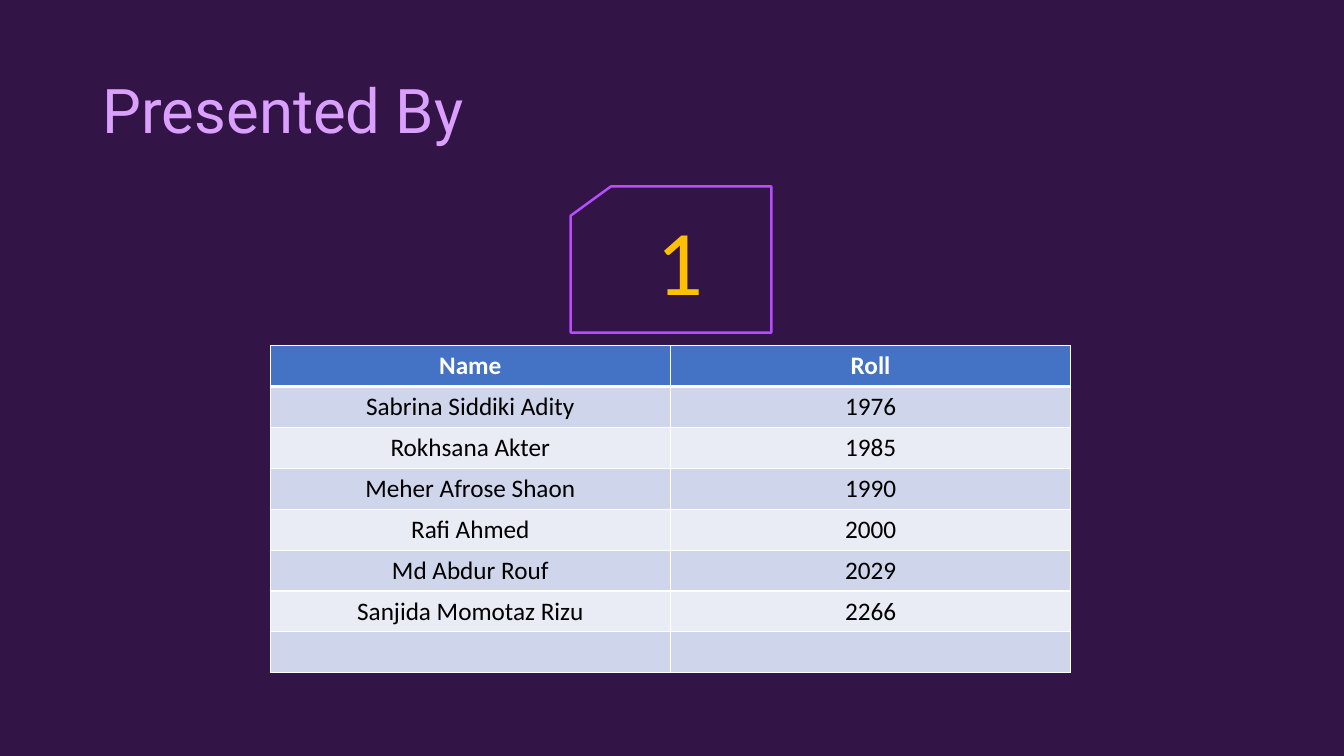
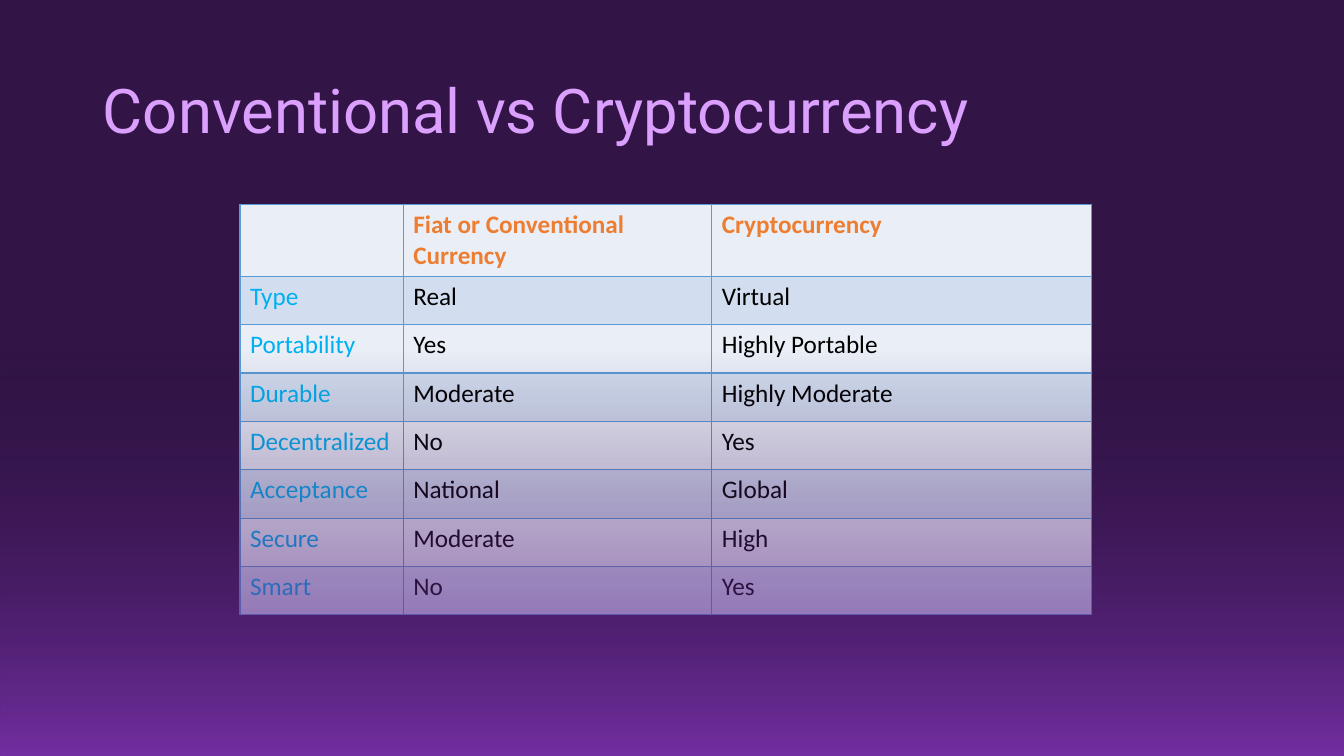
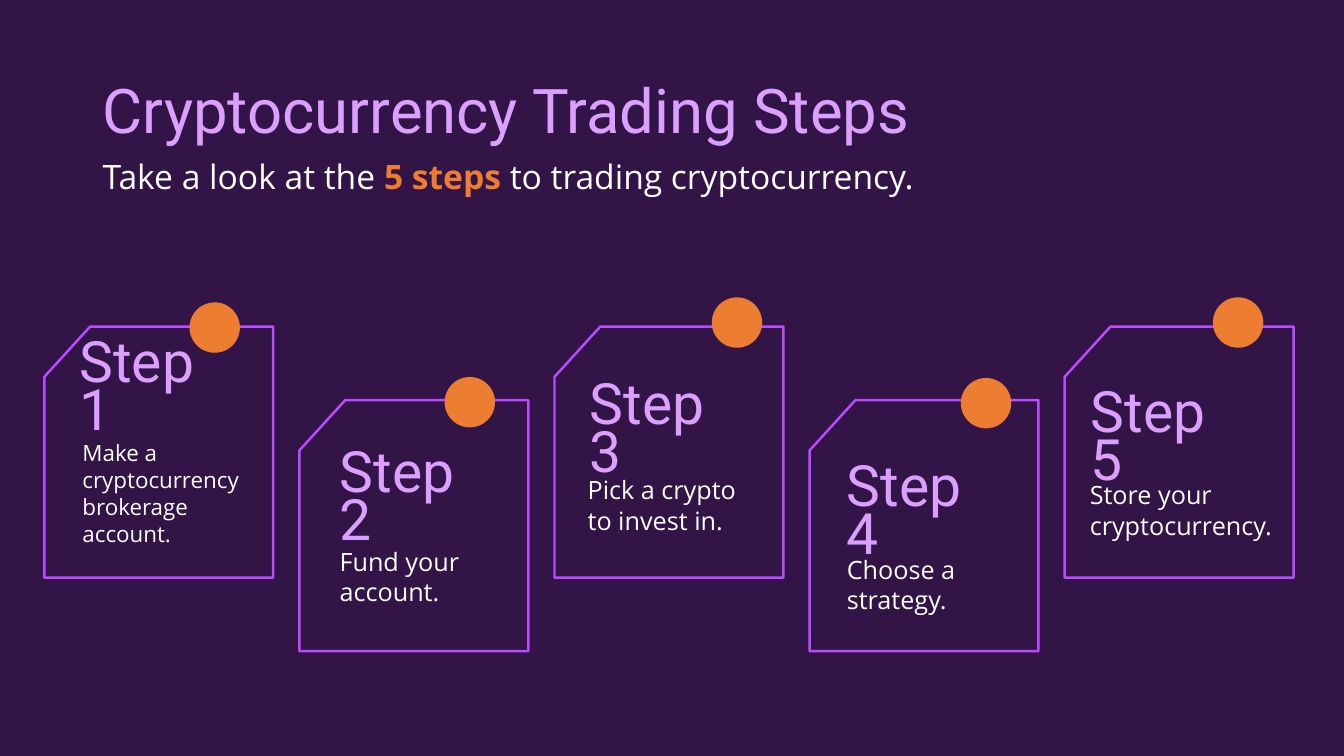
import pptx
import pptx.util
import pptx.dml.color
import pptx.enum.shapes
import pptx.enum.text
import pptx.oxml
from pptx.oxml.ns import qn, nsdecls

Inches = pptx.util.Inches
Pt = pptx.util.Pt
RGBColor = pptx.dml.color.RGBColor
MSO_SHAPE = pptx.enum.shapes.MSO_SHAPE
PP_ALIGN = pptx.enum.text.PP_ALIGN
MSO_ANCHOR = pptx.enum.text.MSO_ANCHOR

BACKGROUND = RGBColor(0x32, 0x14, 0x47)
LILAC = RGBColor(0xDB, 0xA0, 0xFD)
VIOLET = RGBColor(0xB8, 0x4C, 0xFF)
GLOW = RGBColor(0x8C, 0x39, 0xC6)
ORANGE = RGBColor(0xED, 0x7D, 0x31)
GOLD = RGBColor(0xFF, 0xC0, 0x00)
SKY = RGBColor(0x00, 0xB0, 0xF0)
WHITE = RGBColor(0xFF, 0xFF, 0xFF)
BLACK = RGBColor(0x00, 0x00, 0x00)
BLUE = RGBColor(0x44, 0x72, 0xC4)
BLUE_LINE = RGBColor(0x5B, 0x9B, 0xD5)
MEMBER_BANDS = (RGBColor(0xCF, 0xD5, 0xEA), RGBColor(0xE9, 0xEB, 0xF5))
COMPARISON_BANDS = (RGBColor(0xD2, 0xDE, 0xEF), RGBColor(0xEA, 0xEF, 0xF7))

HEADING_FONT = "Roboto"
BODY_FONT = "Open Sans"
TABLE_FONT = "Calibri"

MEMBERS = [
    ("Name", "Roll"),
    ("Sabrina Siddiki Adity", "1976"),
    ("Rokhsana Akter", "1985"),
    ("Meher Afrose Shaon", "1990"),
    ("Rafi Ahmed", "2000"),
    ("Md Abdur Rouf", "2029"),
    ("Sanjida Momotaz Rizu", "2266"),
    ("", ""),
]

COMPARISON = [
    ("", "Fiat or Conventional Currency", "Cryptocurrency"),
    ("Type", "Real", "Virtual"),
    ("Portability", "Yes", "Highly Portable"),
    ("Durable", "Moderate", "Highly Moderate"),
    ("Decentralized", "No", "Yes"),
    ("Acceptance", "National", "Global"),
    ("Secure", "Moderate", "High"),
    ("Smart", "No", "Yes"),
]

SUBTITLE = [
    ("Take a look at the ", WHITE, False),
    ("5 steps ", ORANGE, True),
    ("to trading cryptocurrency.", WHITE, False),
]

# text, text size, text box (left, top, width, height), heading and dot (left, top)
STEPS = [
    ("Make a cryptocurrency brokerage account.", 16,
     (0.72, 4.31, 1.9, 1.72), (0.69, 3.56), (1.88, 3)),
    ("Fund your account.", 18,
     (3.27, 5.37, 1.67, 0.71), (3.27, 4.65), (4.41, 3.74)),
    ("Pick a crypto to invest in.", 18,
     (5.73, 4.66, 1.97, 0.71), (5.75, 3.98), (7.06, 2.95)),
    ("Choose a strategy.", 18,
     (8.3, 5.45, 1.61, 0.71), (8.3, 4.79), (9.53, 3.75)),
    ("Store your cryptocurrency.", 18,
     (10.71, 4.71, 2.09, 0.71), (10.72, 4.06), (12.03, 2.95)),
]
CARD_LEFT, CARD_PITCH = 0.44, 2.53
CARD_TOPS = (3.24, 3.97)
CARD_SIZE = (2.27, 2.49)
STEP_HEADING_SIZE = (1.43, 0.66)
DOT_SIZE = (0.5, 0.5)


def format_runs(paragraph, font_name, size, color, bold=False):
    for run in paragraph.runs:
        run.font.name = font_name
        run.font.size = Pt(size)
        run.font.color.rgb = color
        run.font.bold = bold


def add_titled_slide(presentation, title):
    slide = presentation.slides.add_slide(presentation.slide_layouts[5])
    shape = slide.shapes.title
    shape.left, shape.top = Inches(0.92), Inches(0.4)
    shape.width, shape.height = Inches(11.5), Inches(1.45)
    shape.text_frame.text = title
    shape.text_frame.vertical_anchor = MSO_ANCHOR.MIDDLE
    paragraph = shape.text_frame.paragraphs[0]
    paragraph.alignment = PP_ALIGN.LEFT
    paragraph.line_spacing = 0.9
    format_runs(paragraph, HEADING_FONT, 44, LILAC)
    return slide


def add_text(slide, box, text, font_name, size, color, wrap=True):
    """Add a one-paragraph text box and return its text frame."""
    text_frame = slide.shapes.add_textbox(*map(Inches, box)).text_frame
    text_frame.word_wrap = wrap
    text_frame.text = text
    format_runs(text_frame.paragraphs[0], font_name, size, color)
    return text_frame


def add_plain_shape(slide, preset, box):
    shape = slide.shapes.add_shape(preset, *map(Inches, box))
    shape.shadow.inherit = False
    return shape


def add_card(slide, box):
    card = add_plain_shape(slide, MSO_SHAPE.FLOWCHART_CARD, box)
    card.fill.background()
    card.line.color.rgb = VIOLET
    card.line.width = Pt(1.75)


def add_dot(slide, box):
    dot = add_plain_shape(slide, MSO_SHAPE.OVAL, box)
    dot.fill.solid()
    dot.fill.fore_color.rgb = ORANGE
    dot.line.fill.background()


def add_glow(slide):
    """Add the violet fade that rises from the bottom of the slide."""
    glow = add_plain_shape(slide, MSO_SHAPE.RECTANGLE, (4.26, -0.82, 4.81, 13.33))
    glow.rotation = 270
    glow.line.fill.background()
    glow.fill.gradient()
    glow.fill.gradient_angle = 0
    start, end = glow.fill.gradient_stops
    start.color.rgb, start.position = GLOW, 0
    end.color.rgb, end.position = BACKGROUND, 0.99
    end_color = glow.element.findall(".//" + qn("a:srgbClr"))[-1]
    end_color.append(pptx.oxml.parse_xml(f'<a:alpha {nsdecls("a")} val="0"/>'))


def set_borders(cell, color, widths):
    """Draw the left, right, top and bottom borders, widths in points."""
    properties = cell._tc.get_or_add_tcPr()
    for side, width in zip("LRTB", widths):
        properties.append(pptx.oxml.parse_xml(
            f'<a:ln{side} {nsdecls("a")} w="{Pt(width)}"><a:solidFill>'
            f'<a:srgbClr val="{color}"/></a:solidFill></a:ln{side}>'))


def add_styled_table(slide, rows, left, top, column_widths, row_heights, bands,
                     header_fill, header_color, first_column_color,
                     border_color, header_rule, alignment):
    frame = slide.shapes.add_table(
        len(rows), len(column_widths), Inches(left), Inches(top),
        Inches(sum(column_widths)), Inches(sum(row_heights)))
    table = frame.table
    table.horz_banding = False
    for column, width in zip(table.columns, column_widths):
        column.width = Inches(width)
    for row_index, values in enumerate(rows):
        table.rows[row_index].height = Inches(row_heights[row_index])
        is_header = row_index == 0
        rule_above = header_rule if row_index == 1 else 1
        rule_below = header_rule if is_header else 1
        for column_index, value in enumerate(values):
            cell = table.cell(row_index, column_index)
            set_borders(cell, border_color, (1, 1, rule_above, rule_below))
            cell.fill.solid()
            cell.fill.fore_color.rgb = (
                header_fill if is_header else bands[(row_index - 1) % 2])
            cell.text_frame.text = value
            paragraph = cell.text_frame.paragraphs[0]
            paragraph.alignment = alignment
            body_color = first_column_color if column_index == 0 else BLACK
            format_runs(paragraph, TABLE_FONT, 18,
                        header_color if is_header else body_color, is_header)


def build_members(presentation):
    slide = add_titled_slide(presentation, "Presented By")
    add_styled_table(
        slide, MEMBERS, 2.68, 3.43, [3.97] * 2, [0.4] * len(MEMBERS), MEMBER_BANDS,
        header_fill=BLUE, header_color=WHITE, first_column_color=BLACK,
        border_color=WHITE, header_rule=3, alignment=PP_ALIGN.CENTER)
    add_card(slide, (5.66, 1.85, 1.99, 1.45))
    add_text(slide, (6.41, 1.97, 0.67, 1.21), "1", TABLE_FONT, 66, GOLD, wrap=False)


def build_comparison(presentation):
    slide = add_titled_slide(presentation, "Conventional vs Cryptocurrency")
    row_heights = [0.7] + [0.48] * (len(COMPARISON) - 1)
    add_styled_table(
        slide, COMPARISON, 2.38, 2.03, [1.62, 3.06, 3.77], row_heights, COMPARISON_BANDS,
        header_fill=COMPARISON_BANDS[1], header_color=ORANGE, first_column_color=SKY,
        border_color=BLUE_LINE, header_rule=1, alignment=PP_ALIGN.LEFT)
    add_glow(slide)


def build_steps(presentation):
    slide = add_titled_slide(presentation, "Cryptocurrency Trading Steps")
    subtitle = add_text(slide, (0.92, 1.54, 11.5, 0.83), "", BODY_FONT, 24, WHITE)
    paragraph = subtitle.paragraphs[0]
    paragraph.line_spacing = 0.9
    for text, color, bold in SUBTITLE:
        run = paragraph.add_run()
        run.text = text
        run.font.name = BODY_FONT
        run.font.size = Pt(24)
        run.font.color.rgb = color
        run.font.bold = bold

    for index, (text, size, text_box, heading_at, dot_at) in enumerate(STEPS):
        card_at = (CARD_LEFT + index * CARD_PITCH, CARD_TOPS[index % 2])
        add_card(slide, card_at + CARD_SIZE)
        add_text(slide, text_box, text, BODY_FONT, size, WHITE)
        heading = add_text(slide, heading_at + STEP_HEADING_SIZE, f"Step {index + 1}",
                           HEADING_FONT, 40.7, LILAC)
        heading.vertical_anchor = MSO_ANCHOR.MIDDLE
        heading.paragraphs[0].line_spacing = 0.7
        add_dot(slide, dot_at + DOT_SIZE)


def main():
    presentation = pptx.Presentation()
    presentation.slide_width = Inches(13.33)
    presentation.slide_height = Inches(7.5)
    background = presentation.slide_master.background.fill
    background.solid()
    background.fore_color.rgb = BACKGROUND
    build_members(presentation)
    build_comparison(presentation)
    build_steps(presentation)
    presentation.save("out.pptx")


if __name__ == "__main__":
    main()
